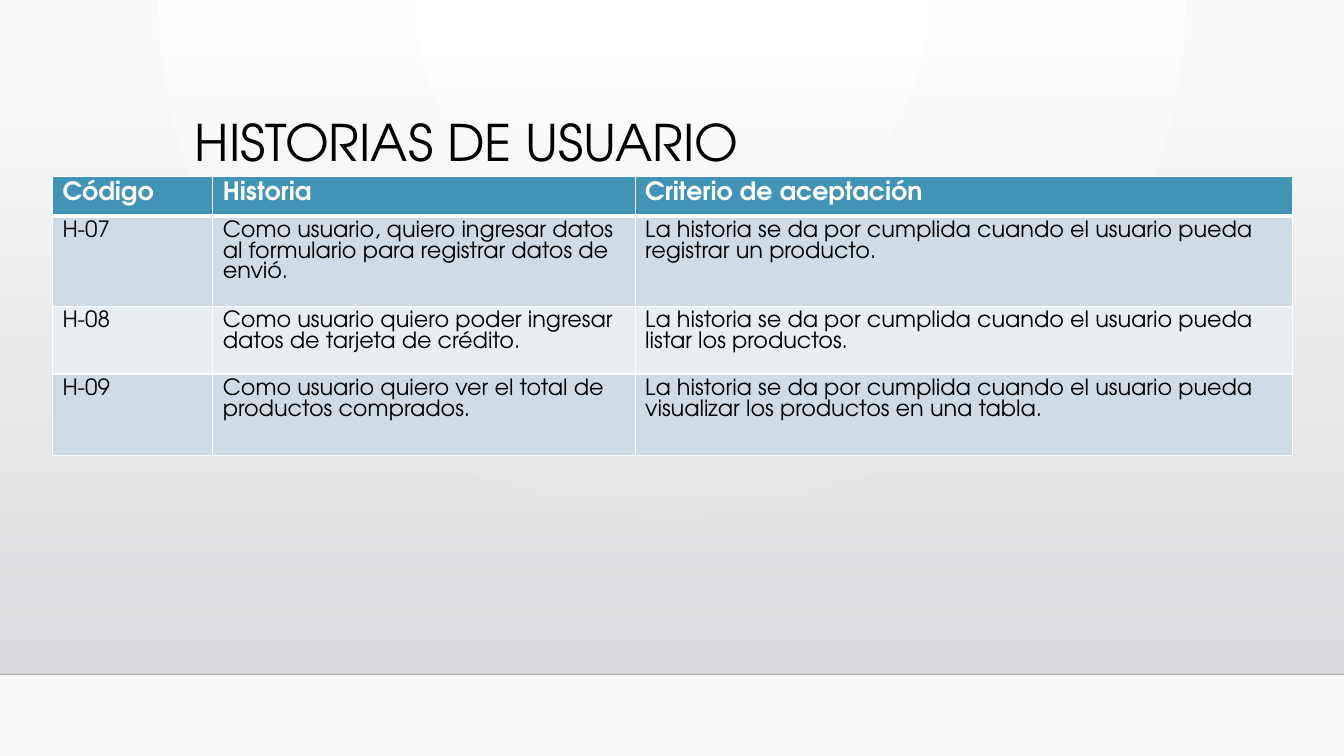
from lxml import etree
from pptx import Presentation
from pptx.dml.color import RGBColor
from pptx.enum import shapes, text
from pptx.oxml import ns, parse_xml
from pptx.util import Inches, Pt

FONT = "TeX Gyre Adventor"
COLORS = {
    "white": "FFFFFF", "edge": "FAFAFA", "wall_top": "DCDCE0", "wall_bottom": "DEDEE2",
    "horizon": "000001", "ink": "000000", "header": "4294B6",
    "odd_row": "CFDCE5", "even_row": "E9EEF3",
}
STORIES = [
    ("Código", "Historia", "Criterio de aceptación"),
    ("H-07",
     "Como usuario, quiero ingresar datos al formulario para registrar datos de envió.",
     "La historia se da por cumplida cuando el usuario pueda registrar un producto."),
    ("H-08",
     "Como usuario quiero poder ingresar datos de tarjeta de crédito.",
     "La historia se da por cumplida cuando el usuario pueda listar los productos."),
    ("H-09",
     "Como usuario quiero ver el total de productos comprados.",
     "La historia se da por cumplida cuando el usuario pueda visualizar los productos en una tabla."),
]
COLUMN_WIDTHS = (1.59, 4.19, 6.52)
ROW_HEIGHTS = (0.39, 0.9, 0.67, 0.81)


def rgb(name):
    return RGBColor.from_string(COLORS[name])


def write(frame, content, size, color="ink", bold=False, spacing=None):
    paragraph = frame.paragraphs[0]
    paragraph.alignment = text.PP_ALIGN.LEFT
    paragraph.line_spacing = spacing
    run = paragraph.add_run()
    run.text = content
    font = run.font
    font.name, font.size, font.bold = FONT, Pt(size), bold
    font.color.rgb = rgb(color)


def set_gradient(properties, first, last, direction, first_alpha=100):
    """Replace the solid fill in properties by a two-stop gradient."""
    gradient = parse_xml(
        f'<a:gradFill {ns.nsdecls("a")} rotWithShape="1"><a:gsLst>'
        f'<a:gs pos="0"><a:srgbClr val="{COLORS[first]}">'
        f'<a:alpha val="{first_alpha * 1000}"/></a:srgbClr></a:gs>'
        f'<a:gs pos="100000"><a:srgbClr val="{COLORS[last]}"/></a:gs>'
        f'</a:gsLst>{direction}</a:gradFill>')
    solid = properties.find(ns.qn("a:solidFill"))
    properties.replace(solid, gradient)


def add_backdrop(slide):
    slide.background.fill.solid()
    set_gradient(slide.element.find(".//" + ns.qn("p:bgPr")), "white", "edge",
                 '<a:path path="circle"><a:fillToRect l="43000" t="0" r="43000" b="100000"/></a:path>')

    wall = slide.shapes.add_shape(shapes.MSO_SHAPE.RECTANGLE, 0, Inches(0.51),
                                  Inches(13.33), Inches(6.18))
    wall.shadow.inherit = False
    wall.line.fill.background()
    wall.fill.solid()
    set_gradient(wall.element.spPr, "wall_top", "wall_bottom",
                 '<a:lin ang="5400000" scaled="0"/>', first_alpha=0)

    horizon = slide.shapes.add_connector(shapes.MSO_CONNECTOR.STRAIGHT, 0, Inches(6.69),
                                         Inches(13.33), Inches(6.69))
    horizon.line.width = Pt(1)
    horizon.line.color.rgb = rgb("horizon")
    properties = horizon.element.spPr
    color = properties.find(".//" + ns.qn("a:srgbClr"))
    etree.SubElement(color, ns.qn("a:alpha")).set("val", "20000")
    etree.SubElement(properties, ns.qn("a:effectLst"))

    # The backdrop belongs behind the title placeholder.
    tree = slide.shapes.element
    tree.insert(2, wall.element)
    tree.insert(3, horizon.element)


def place_title(slide, content):
    title = slide.shapes.title
    title.left, title.top = Inches(1.83), Inches(1.04)
    title.width, title.height = Inches(9.05), Inches(0.71)
    frame = title.text_frame
    frame.auto_size = text.MSO_AUTO_SIZE.NONE
    frame.vertical_anchor = text.MSO_ANCHOR.BOTTOM
    write(frame, content, 36)


def set_borders(cell, bottom_width):
    properties = cell._tc.get_or_add_tcPr()
    widths = {"lnL": 1, "lnR": 1, "lnT": 1, "lnB": bottom_width}
    for index, (side, width) in enumerate(widths.items()):
        properties.insert(index, parse_xml(
            f'<a:{side} {ns.nsdecls("a")} w="{Pt(width)}"><a:solidFill>'
            f'<a:srgbClr val="{COLORS["white"]}"/></a:solidFill></a:{side}>'))


def add_stories(slide):
    table = slide.shapes.add_table(len(STORIES), len(COLUMN_WIDTHS), Inches(0.52), Inches(1.75),
                                   Inches(sum(COLUMN_WIDTHS)), Inches(sum(ROW_HEIGHTS))).table
    for column, width in zip(table.columns, COLUMN_WIDTHS):
        column.width = Inches(width)
    for index, (row, height, story) in enumerate(zip(table.rows, ROW_HEIGHTS, STORIES)):
        row.height = Inches(height)
        is_header = index == 0
        fill = "header" if is_header else "odd_row" if index % 2 else "even_row"
        for cell, content in zip(row.cells, story):
            cell.fill.solid()
            cell.fill.fore_color.rgb = rgb(fill)
            set_borders(cell, bottom_width=3 if is_header else 1)
            if is_header:
                write(cell.text_frame, content, 18, color="white", bold=True)
            else:
                write(cell.text_frame, content, 16)


def main():
    deck = Presentation()
    deck.slide_width, deck.slide_height = Inches(13.33), Inches(7.5)
    slide = deck.slides.add_slide(deck.slide_layouts[5])
    add_backdrop(slide)
    place_title(slide, "HISTORIAS DE USUARIO")
    add_stories(slide)
    deck.save("out.pptx")


if __name__ == "__main__":
    main()
